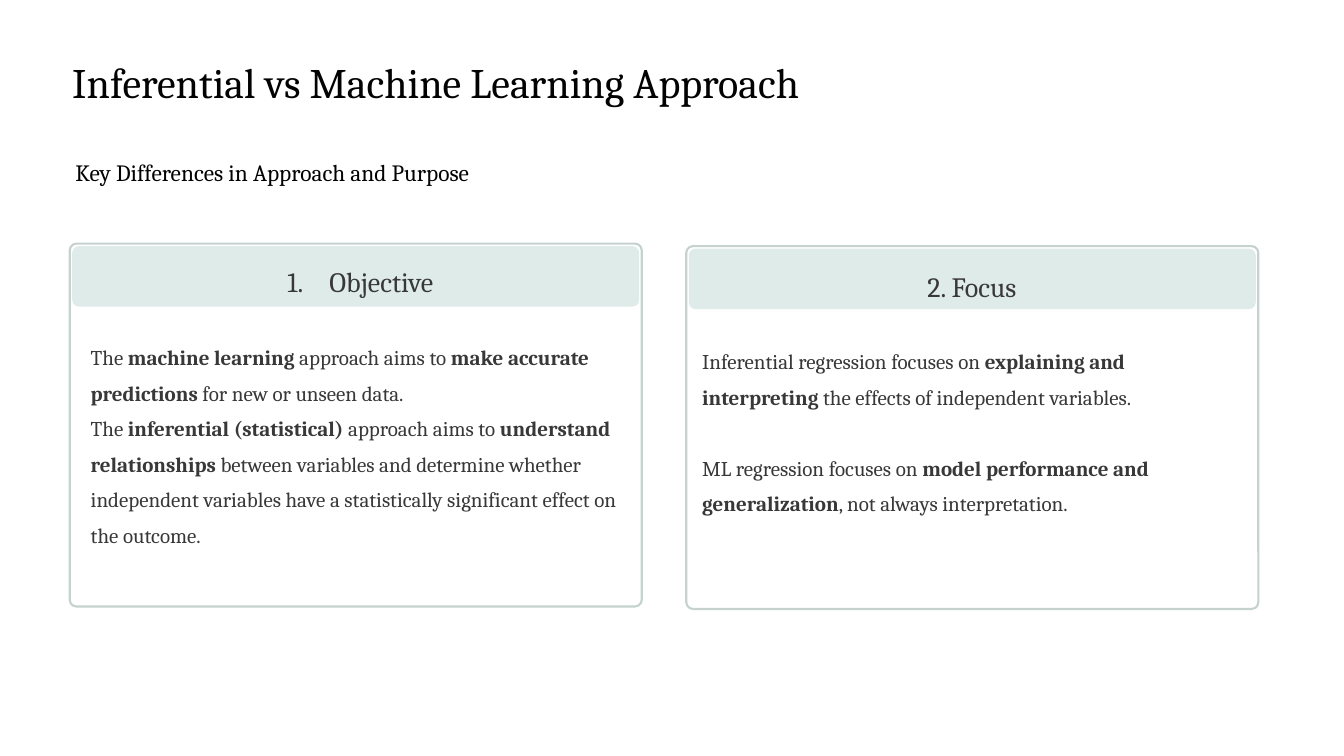
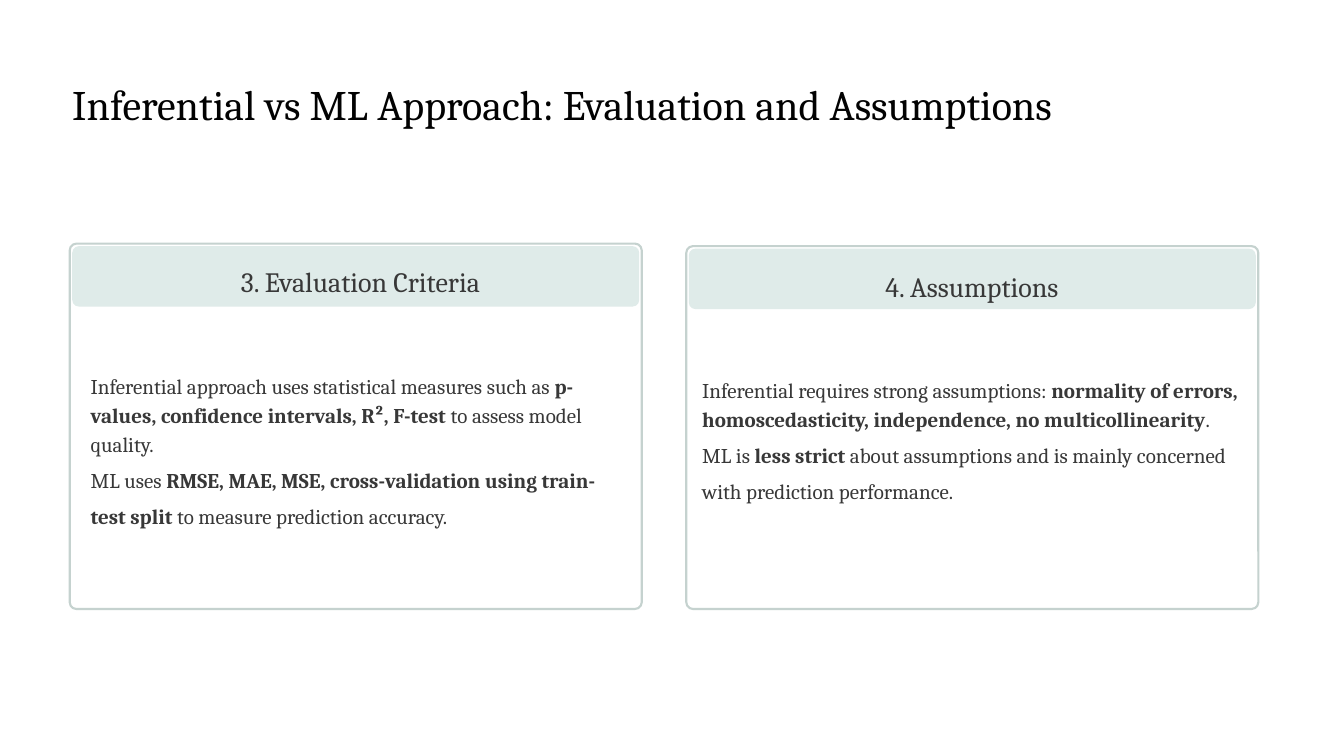
import pptx
import pptx.dml.color
import pptx.enum.shapes
import pptx.enum.text
import pptx.util
from lxml import etree
from pptx.oxml.ns import qn

Inches, Pt = pptx.util.Inches, pptx.util.Pt
RGBColor = pptx.dml.color.RGBColor

TITLE_COLOR = RGBColor(0x02, 0x02, 0x02)
TEXT_COLOR = RGBColor(0x38, 0x38, 0x38)
BAND_COLOR = RGBColor(0xDF, 0xEB, 0xE9)
FRAME_COLOR = RGBColor(0xC5, 0xD2, 0xCF)
FONT = "Cambria"

SLIDE_W, SLIDE_H = 16, 9
MARGIN = 0.83
GAP = 0.53
CARD_W = (SLIDE_W - 2 * MARGIN - GAP - 0.19) / 2
CARD_H = 4.32
BAND_H = 0.72
BAND_INSET = 0.03
CORNER = 0.08
TEXT_W = 6.42
HEADING_SIZE, BODY_SIZE = 24, 18
LINE, TIGHT_LINE = 30.5, 25

# Card top, text left within the card and text top, for each column
COLUMNS = [(2.9, 0.25, 3.13), (2.93, 0.19, 3.18)]


def add_text_box(slide, left, top, width, height, inset=0):
    box = slide.shapes.add_textbox(*map(Inches, (left, top, width, height)))
    frame = box.text_frame
    frame.word_wrap = True
    frame.vertical_anchor = pptx.enum.text.MSO_ANCHOR.TOP
    frame.margin_left = frame.margin_right = Inches(inset)
    frame.margin_top = frame.margin_bottom = Inches(inset / 2)
    return frame


def write(paragraph, marked_text, size, line, color, before=0):
    """Write text in which asterisks enclose the bold parts."""
    paragraph.line_spacing = Pt(line)
    if before:
        paragraph.space_before = Pt(before)
    for index, part in enumerate(marked_text.split("*")):
        run = paragraph.add_run()
        run.text = part
        run.font.name = FONT
        run.font.size = Pt(size)
        run.font.bold = index % 2 == 1
        run.font.color.rgb = color


def number_automatically(paragraph):
    properties = paragraph._p.get_or_add_pPr()
    properties.set("marL", str(Inches(0.5)))
    properties.set("indent", str(-Inches(0.5)))
    etree.SubElement(properties, qn("a:buFont"), typeface=FONT)
    etree.SubElement(properties, qn("a:buAutoNum"), type="arabicPeriod")


def add_rounded(slide, left, top, width, height):
    shape = slide.shapes.add_shape(
        pptx.enum.shapes.MSO_SHAPE.ROUNDED_RECTANGLE,
        *map(Inches, (left, top, width, height)))
    shape.adjustments[0] = CORNER / min(width, height)
    shape.shadow.inherit = False
    return shape


def add_title(slide, title, top):
    frame = add_text_box(slide, 0.86, top, 14.93, 0.67)
    write(frame.paragraphs[0], title, 36, 51, TITLE_COLOR)


def add_subtitle(slide, subtitle):
    frame = add_text_box(slide, 0.8, 1.6, 14.93, 0.6, inset=0.1)
    write(frame.paragraphs[0], subtitle, 20, 41, TITLE_COLOR)


def add_card(slide, column, heading, body, numbered=False, height=CARD_H):
    """Add a framed card; body holds (text, line spacing, space before)."""
    top, text_inset, text_top = COLUMNS[column]
    left = MARGIN + column * (CARD_W + GAP)

    band = add_rounded(slide, left + BAND_INSET, top + BAND_INSET,
                       CARD_W - 2 * BAND_INSET, BAND_H)
    band.fill.solid()
    band.fill.fore_color.rgb = BAND_COLOR
    band.line.fill.background()

    outline = add_rounded(slide, left, top, CARD_W, height)
    outline.fill.background()
    outline.line.color.rgb = FRAME_COLOR
    outline.line.width = Pt(1.8)

    frame = add_text_box(slide, left + text_inset, text_top, TEXT_W, 3.64)
    title = frame.paragraphs[0]
    title.alignment = pptx.enum.text.PP_ALIGN.CENTER
    if numbered:
        number_automatically(title)
    write(title, heading, HEADING_SIZE, LINE, TEXT_COLOR)
    for text, line, before in body:
        write(frame.add_paragraph(), text, BODY_SIZE, line, TEXT_COLOR, before)


def add_approach_slide(slide):
    add_title(slide, "Inferential vs Machine Learning Approach", 0.57)
    add_subtitle(slide, "Key Differences in Approach and Purpose")
    add_card(slide, 0, "Objective", [
        ("The *machine learning* approach aims to *make accurate predictions* "
         "for new or unseen data.", LINE, LINE),
        ("The *inferential (statistical)* approach aims to *understand "
         "relationships* between variables and determine whether independent "
         "variables have a statistically significant effect on the outcome.",
         LINE, 0),
    ], numbered=True)
    add_card(slide, 1, "2. Focus", [
        ("Inferential regression focuses on *explaining and interpreting* "
         "the effects of independent variables.", LINE, LINE),
        ("ML regression focuses on *model performance and generalization*, "
         "not always interpretation.", LINE, LINE),
    ])


def add_evaluation_slide(slide):
    add_title(slide, "Inferential vs ML Approach: Evaluation and Assumptions",
              0.83)
    add_card(slide, 0, "3. Evaluation Criteria", [
        ("Inferential approach uses statistical measures such as *p-values, "
         "confidence intervals, R², F-test* to assess model quality.",
         TIGHT_LINE, 2 * LINE),
        ("ML uses *RMSE, MAE, MSE, cross-validation using train-test split* "
         "to measure prediction accuracy.", LINE, 0),
    ], height=4.35)
    add_card(slide, 1, "4. Assumptions", [
        ("Inferential requires strong assumptions: *normality of errors, "
         "homoscedasticity, independence, no multicollinearity*.",
         TIGHT_LINE, 2 * LINE),
        ("ML is *less strict* about assumptions and is mainly concerned with "
         "prediction performance.", LINE, 0),
    ])


def main():
    deck = pptx.Presentation()
    deck.slide_width, deck.slide_height = Inches(SLIDE_W), Inches(SLIDE_H)
    blank = deck.slide_layouts[6]
    for build in (add_approach_slide, add_evaluation_slide):
        build(deck.slides.add_slide(blank))
    deck.save("out.pptx")


if __name__ == "__main__":
    main()
